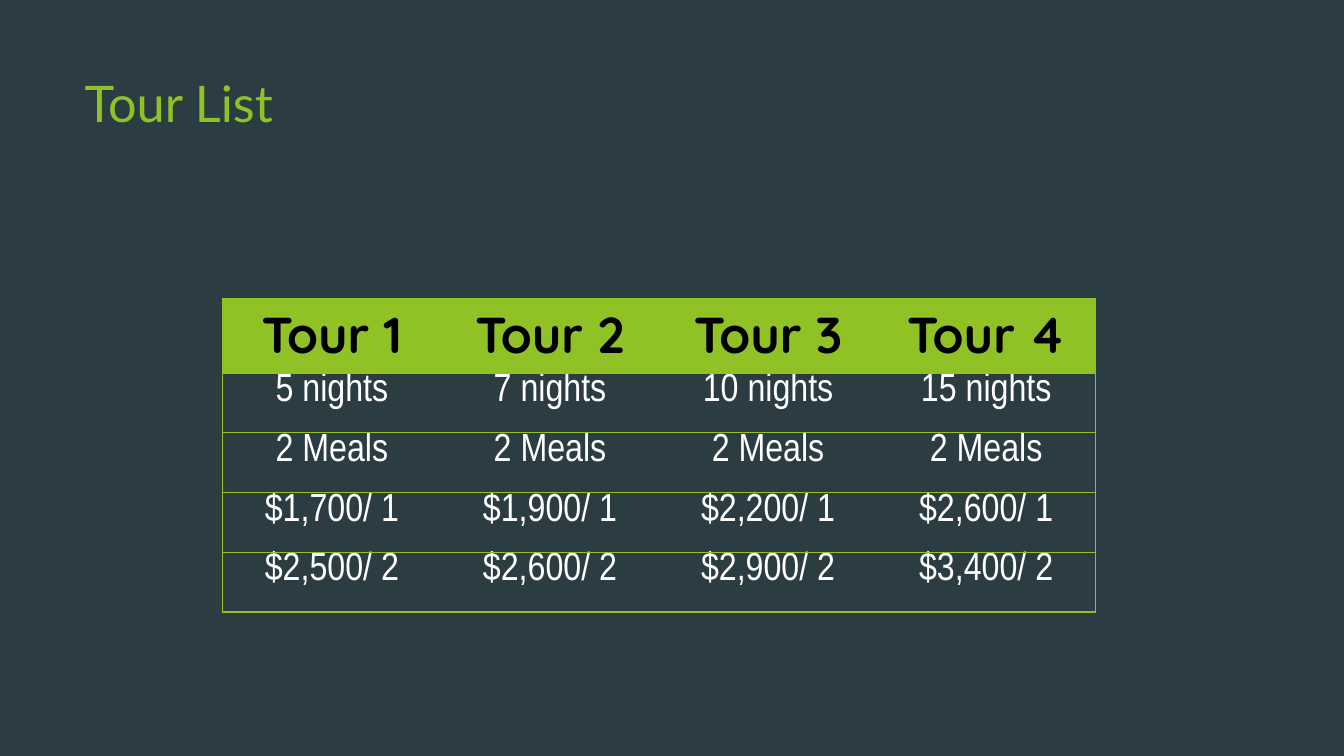
from dataclasses import dataclass

from lxml.etree import SubElement
from pptx import Presentation
from pptx.dml.color import RGBColor
from pptx.enum.text import MSO_ANCHOR, PP_ALIGN
from pptx.oxml.ns import qn
from pptx.slide import Slide
from pptx.table import _Cell
from pptx.text.text import TextFrame
from pptx.util import Inches, Pt

COLORS = {"night": "2C3C43", "lime": "90C226", "black": "000000", "white": "FFFFFF"}
SLIDE_W, SLIDE_H = Inches(13.33), Inches(7.5)
TABLE_LEFT, TABLE_TOP = 2.21 / 13.33, 2.96 / 7.5
COLUMN_SHARE = 2.163 / 13.33
HEADER_SHARE, DETAIL_SHARE = 0.74 / 7.5, 0.593 / 7.5


@dataclass(frozen=True)
class Tour:
    name: str
    nights: str
    meals: str
    price_for_one: str
    price_for_two: str

    def lines(self) -> list[str]:
        return [self.name, self.nights, self.meals, self.price_for_one, self.price_for_two]


TOURS = [
    Tour("Tour 1", "5 nights", "2 Meals", "$1,700/ 1", "$2,500/ 2"),
    Tour("Tour 2", "7 nights", "2 Meals", "$1,900/ 1", "$2,600/ 2"),
    Tour("Tour 3", "10 nights", "2 Meals", "$2,200/ 1", "$2,900/ 2"),
    Tour("Tour 4", "15 nights", "2 Meals", "$2,600/ 1", "$3,400/ 2"),
]


def across(share: float) -> int:
    return round(SLIDE_W * share)


def down(share: float) -> int:
    return round(SLIDE_H * share)


def write(frame: TextFrame, text: str, *, font: str, size: float, color: str,
          bold: bool = False, align: PP_ALIGN = PP_ALIGN.LEFT) -> None:
    paragraph = frame.paragraphs[0]
    paragraph.alignment = align
    run = paragraph.add_run()
    run.text = text
    run.font.name = font
    run.font.size = Pt(size)
    run.font.bold = bold
    run.font.color.rgb = RGBColor.from_string(COLORS[color])


def draw_borders(cell: _Cell, visible_sides: str) -> None:
    properties = cell._tc.get_or_add_tcPr()
    for position, side in enumerate("LRTB"):
        border = SubElement(properties, qn(f"a:ln{side}"), w=str(Pt(1)))
        if side in visible_sides:
            fill = SubElement(border, qn("a:solidFill"))
            SubElement(fill, qn("a:srgbClr"), val=COLORS["lime"])
        else:
            SubElement(border, qn("a:noFill"))
        properties.insert(position, border)


def fill_cell(cell: _Cell, text: str, is_header: bool, visible_sides: str) -> None:
    cell.margin_left = cell.margin_right = Inches(0.07)
    cell.margin_top = Inches(0.05 if is_header else 0)
    cell.margin_bottom = Inches(0.05)
    cell.vertical_anchor = MSO_ANCHOR.TOP
    if is_header:
        cell.fill.solid()
        cell.fill.fore_color.rgb = RGBColor.from_string(COLORS["lime"])
        write(cell.text_frame, text, font="Quicksand", size=36, color="black",
              bold=True, align=PP_ALIGN.CENTER)
    else:
        cell.fill.background()
        write(cell.text_frame, text, font="Arial Narrow", size=28, color="white",
              align=PP_ALIGN.CENTER)
    draw_borders(cell, visible_sides)


def add_title(slide: Slide, text: str) -> None:
    title = slide.shapes.add_textbox(across(0.74 / 13.33), down(0.67 / 7.5),
                                     across(9.4 / 13.33), down(1.44 / 7.5))
    title.text_frame.word_wrap = True
    write(title.text_frame, text, font="Lato", size=36, color="lime")


def add_tour_table(slide: Slide, tours: list[Tour]) -> None:
    row_shares = [HEADER_SHARE] + [DETAIL_SHARE] * (len(tours[0].lines()) - 1)
    tour_table = slide.shapes.add_table(
        len(row_shares), len(tours), across(TABLE_LEFT), down(TABLE_TOP),
        across(COLUMN_SHARE * len(tours)), down(sum(row_shares))).table
    tour_table.horz_banding = False
    for row, share in zip(tour_table.rows, row_shares):
        row.height = down(share)
    for column, tour in enumerate(tours):
        tour_table.columns[column].width = across(COLUMN_SHARE)
        sides = "TB" + "L" * (column == 0) + "R" * (column == len(tours) - 1)
        for row, text in enumerate(tour.lines()):
            fill_cell(tour_table.cell(row, column), text, row == 0, sides)


def main() -> None:
    presentation = Presentation()
    presentation.slide_width, presentation.slide_height = SLIDE_W, SLIDE_H
    slide = presentation.slides.add_slide(presentation.slide_layouts[6])
    slide.background.fill.solid()
    slide.background.fill.fore_color.rgb = RGBColor.from_string(COLORS["night"])
    add_title(slide, "Tour List")
    add_tour_table(slide, TOURS)
    presentation.save("out.pptx")


if __name__ == "__main__":
    main()
